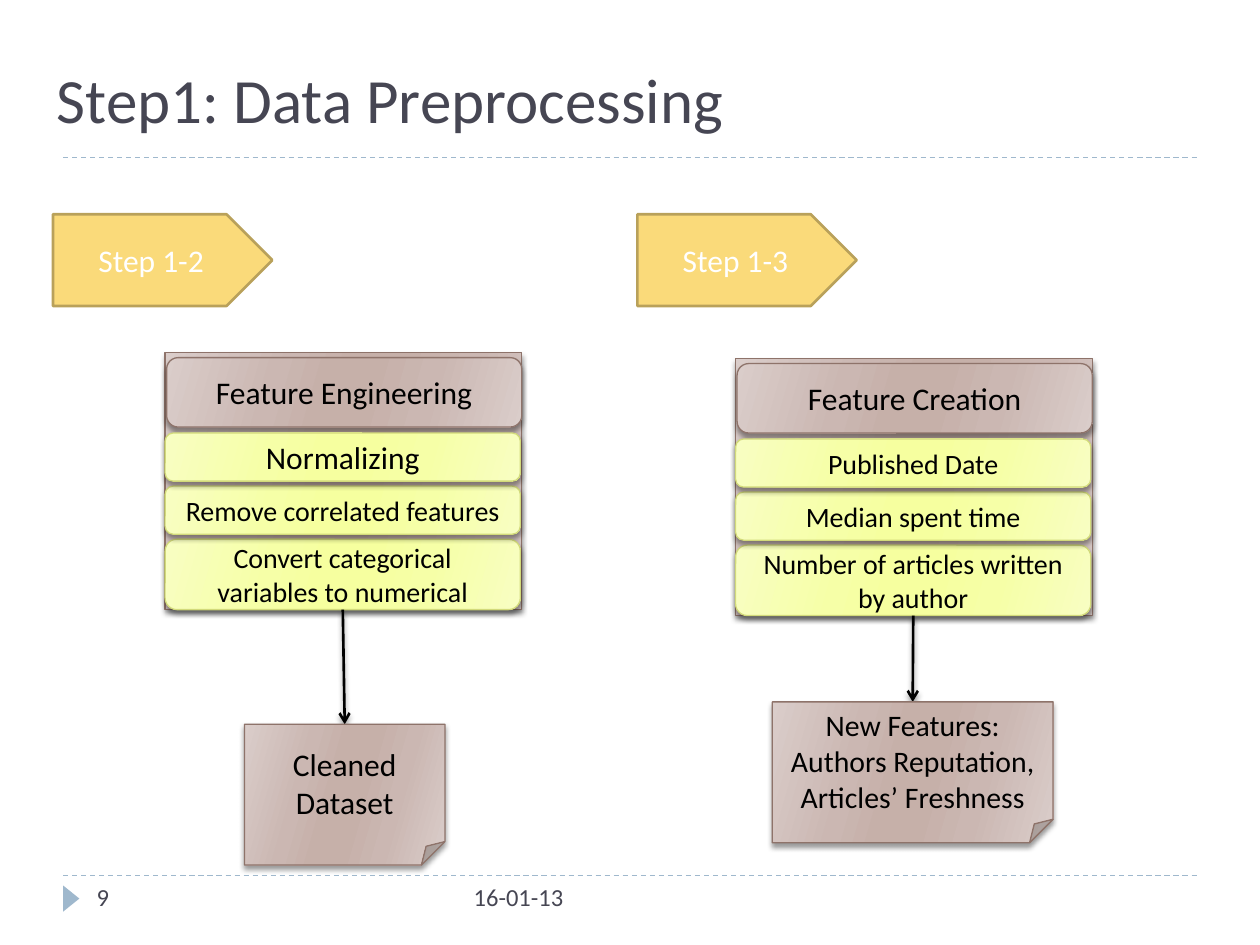
from lxml import etree
from pptx import Presentation
from pptx.dml.color import RGBColor
from pptx.enum.dml import MSO_LINE
from pptx.enum.shapes import MSO_CONNECTOR, MSO_SHAPE
from pptx.enum.text import MSO_ANCHOR, PP_ALIGN
from pptx.oxml.ns import qn
from pptx.util import Cm, Pt

RECTANGLE = MSO_SHAPE.RECTANGLE
ROUNDED = MSO_SHAPE.ROUNDED_RECTANGLE
FOLDED = MSO_SHAPE.FOLDED_CORNER
PENTAGON = MSO_SHAPE.PENTAGON
TRIANGLE = MSO_SHAPE.ISOSCELES_TRIANGLE
STRAIGHT = MSO_CONNECTOR.STRAIGHT
DASH = MSO_LINE.DASH
CENTER, LEFT = PP_ALIGN.CENTER, PP_ALIGN.LEFT
MIDDLE, TOP, BOTTOM = MSO_ANCHOR.MIDDLE, MSO_ANCHOR.TOP, MSO_ANCHOR.BOTTOM

FONT = "Calibri"
BLACK = RGBColor(0x00, 0x00, 0x00)
WHITE = RGBColor(0xFF, 0xFF, 0xFF)
SLATE = RGBColor(0x46, 0x46, 0x53)
BLUE = RGBColor(0x9F, 0xB8, 0xCD)
GOLD = RGBColor(0xFA, 0xDA, 0x7A)
GOLD_EDGE = RGBColor(0xB9, 0xA1, 0x5A)
BROWN_EDGE = RGBColor(0x8E, 0x73, 0x6A)
LIME_EDGE = RGBColor(0xD2, 0xDA, 0x7A)
BROWN = (RGBColor(0xDA, 0xCD, 0xCA), RGBColor(0xCB, 0xB7, 0xB2), RGBColor(0xC6, 0xB0, 0xA9))
LIME = (RGBColor(0xF8, 0xFE, 0xC2), RGBColor(0xF6, 0xFF, 0xA7), RGBColor(0xF6, 0xFF, 0x9F))

PANEL_WIDTH, PANEL_HEIGHT = 7.19, 5.18
CARD_WIDTH, HEADER_HEIGHT, CARD_GAP = 7.16, 1.4, 0.1


def add_child(parent, tag, **attributes):
    child = etree.SubElement(parent, qn(tag))
    for name, value in attributes.items():
        child.set(name, str(value))
    return child


def add_shadow(effects):
    shadow = add_child(effects, "a:outerShdw", blurRad=Pt(3), dist=Pt(2), dir=5400000, rotWithShape=0)
    color = add_child(shadow, "a:srgbClr", val=BLACK)
    add_child(color, "a:alpha", val=40000)


def fill_gradient(shape, colors):
    shape.fill.solid()
    properties = shape._element.spPr
    solid = properties.find(qn("a:solidFill"))
    gradient = etree.Element(qn("a:gradFill"), rotWithShape="1")
    stops = add_child(gradient, "a:gsLst")
    edge, inner, core = colors
    for position, color in zip((0, 30, 45, 55, 73, 100), (edge, inner, core, core, inner, edge)):
        stop = add_child(stops, "a:gs", pos=position * 1000)
        add_child(stop, "a:srgbClr", val=color)
    add_child(gradient, "a:lin", ang=16 * 60000, scaled=0)
    properties.replace(solid, gradient)


def write_text(shape, text, size, color, align=CENTER, anchor=MIDDLE):
    frame = shape.text_frame
    frame.word_wrap = True
    frame.vertical_anchor = anchor
    paragraph = frame.paragraphs[0]
    paragraph.alignment = align
    run = paragraph.add_run()
    run.text = text
    run.font.name = FONT
    run.font.size = Pt(size)
    run.font.color.rgb = color


def add_block(slide, kind, left, top, width, height, fill, edge, edge_width=0.75):
    shape = slide.shapes.add_shape(kind, Cm(left), Cm(top), Cm(width), Cm(height))
    shape.shadow.inherit = False
    if isinstance(fill, RGBColor):
        shape.fill.solid()
        shape.fill.fore_color.rgb = fill
    else:
        fill_gradient(shape, fill)
        add_shadow(shape._element.spPr.find(qn("a:effectLst")))
    if edge is None:
        shape.line.fill.background()
    else:
        shape.line.color.rgb = edge
        shape.line.width = Pt(edge_width)
    return shape


def add_line(slide, start, end, color, width):
    line = slide.shapes.add_connector(STRAIGHT, *(Cm(value) for value in start + end))
    line.line.color.rgb = color
    line.line.width = Pt(width)
    add_child(line._element.spPr, "a:effectLst")
    return line


def add_arrow(slide, start, end):
    arrow = add_line(slide, start, end, BLACK, 1.5)
    properties = arrow._element.spPr
    add_child(properties.find(qn("a:ln")), "a:tailEnd", type="arrow")
    add_shadow(properties.find(qn("a:effectLst")))


def add_title(slide, text, left, top, width, height):
    title = slide.shapes.title
    title.left, title.top, title.width, title.height = Cm(left), Cm(top), Cm(width), Cm(height)
    write_text(title, text, 36, SLATE, LEFT, BOTTOM)


def add_step(slide, text, left, top):
    step = add_block(slide, PENTAGON, left, top, 4.42, 1.85, GOLD, GOLD_EDGE, 1.5)
    write_text(step, text, 18, WHITE)


def add_feature_panel(slide, left, top, heading, cards):
    add_block(slide, RECTANGLE, left, top, PANEL_WIDTH, PANEL_HEIGHT, BROWN, BROWN_EDGE)
    header = add_block(slide, ROUNDED, left + 0.03, top + 0.1, CARD_WIDTH, HEADER_HEIGHT, BROWN, BROWN_EDGE)
    write_text(header, heading, 18, BLACK)
    bottom = top + PANEL_HEIGHT
    for text, size, height in reversed(cards):
        card = add_block(slide, ROUNDED, left, bottom - height, CARD_WIDTH, height, LIME, LIME_EDGE)
        write_text(card, text, size, BLACK)
        bottom -= height + CARD_GAP


def add_result(slide, left, top, width, text, size, arrow_start):
    add_arrow(slide, arrow_start, (left + width / 2, top))
    result = add_block(slide, FOLDED, left, top, width, 2.84, BROWN, BROWN_EDGE)
    write_text(result, text, size, BLACK)


def add_column(slide, step, panel, result):
    add_step(slide, *step)
    add_feature_panel(slide, *panel)
    left, top = panel[:2]
    add_result(slide, *result, (left + CARD_WIDTH / 2, top + PANEL_HEIGHT))


def add_footer(slide, top, number, date):
    add_block(slide, TRIANGLE, 1.17, top + 0.3, 0.53, 0.33, BLUE, None).rotation = 90
    for text, left, width in ((date, 9.3, 6.35), (number, 1.7, 5.51)):
        box = slide.shapes.add_textbox(Cm(left), Cm(top), Cm(width), Cm(1.02))
        write_text(box, text, 14, SLATE, LEFT, TOP)


def main():
    presentation = Presentation()
    presentation.slide_width, presentation.slide_height = Cm(25.4), Cm(19.05)
    slide = presentation.slides.add_slide(presentation.slide_layouts[5])
    for height in (3.18, 17.65):
        add_line(slide, (1.27, height), (24.13, height), BLUE, 0.75).line.dash_style = DASH
    add_title(slide, "Step1: Data Preprocessing", 0.89, 0.13, 22.86, 2.74)
    add_column(
        slide,
        ("Step 1-2", 1.07, 4.32),
        (3.33, 7.11, "Feature Engineering", (
            ("Normalizing", 18, 0.97),
            ("Remove correlated features", 16, 0.97),
            ("Convert categorical variables to numerical", 16, 1.42),
        )),
        (4.93, 14.6, 4.04, "Cleaned Dataset", 18),
    )
    add_column(
        slide,
        ("Step 1-3", 12.85, 4.32),
        (14.83, 7.23, "Feature Creation", (
            ("Published Date", 16, 0.97),
            ("Median spent time", 16, 0.97),
            ("Number of articles written by author", 16, 1.42),
        )),
        (15.57, 14.15, 5.66, "New Features: Authors Reputation, Articles’ Freshness", 17),
    )
    add_footer(slide, 17.65, "9", "16-01-13")
    presentation.save("out.pptx")


main()
